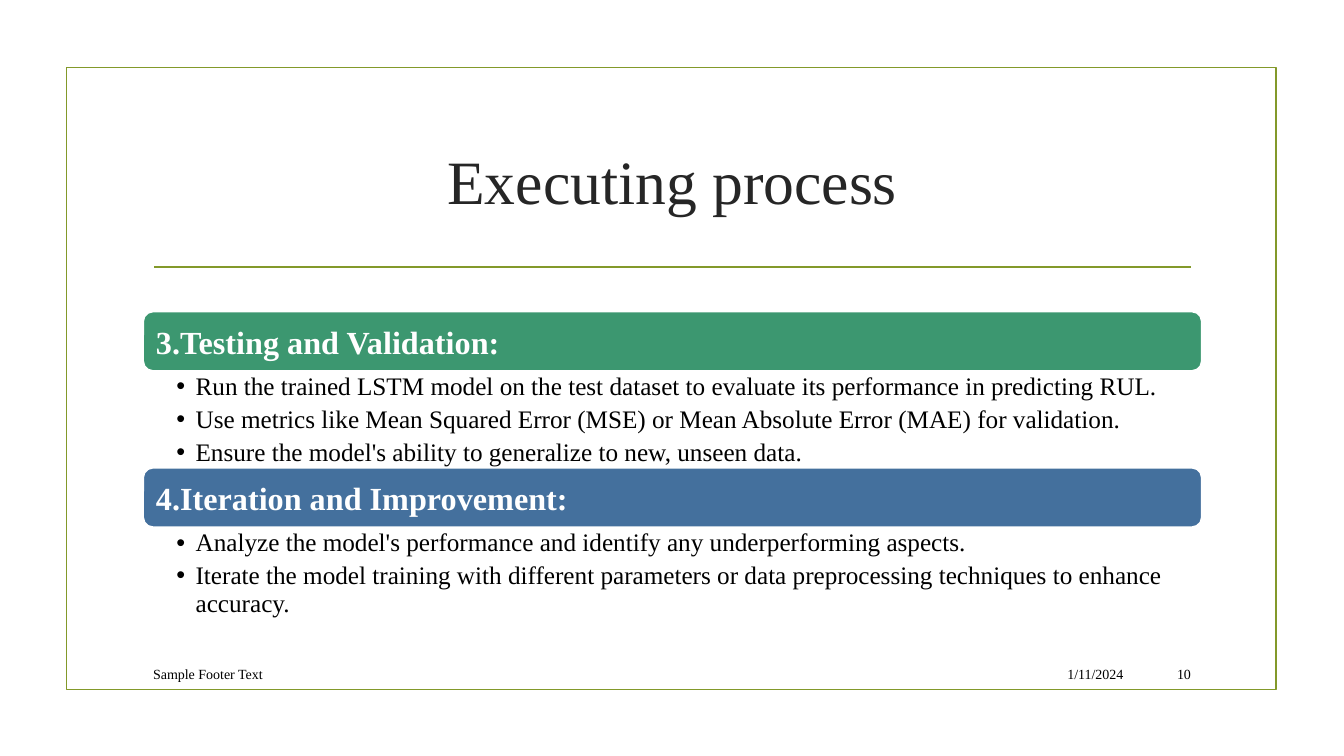
import pptx
import pptx.util
import pptx.dml.color
import pptx.enum.shapes
import pptx.enum.text
import pptx.oxml.ns
import lxml.etree

Inches = pptx.util.Inches
Pt = pptx.util.Pt
RGBColor = pptx.dml.color.RGBColor
ALIGN = pptx.enum.text.PP_ALIGN
ANCHOR = pptx.enum.text.MSO_ANCHOR
SHAPE = pptx.enum.shapes.MSO_SHAPE

FONT = "Times New Roman"
OLIVE = RGBColor(0x83, 0x99, 0x2A)
GREEN = RGBColor(0x3C, 0x97, 0x70)
BLUE = RGBColor(0x44, 0x70, 0x9D)
WHITE = RGBColor(0xFF, 0xFF, 0xFF)
BLACK = RGBColor(0, 0, 0)
CHARCOAL = RGBColor(0x26, 0x26, 0x26)

LEFT, WIDTH = 1.42, 10.5
HEADING_HEIGHT = 0.59
SECTIONS = [
    (3.09, 0.96, GREEN, "3.Testing and Validation:", [
        "Run the trained LSTM model on the test dataset to evaluate its performance in predicting RUL.",
        "Use metrics like Mean Squared Error (MSE) or Mean Absolute Error (MAE) for validation.",
        "Ensure the model's ability to generalize to new, unseen data.",
    ]),
    (4.64, 0.89, BLUE, "4.Iteration and Improvement:", [
        "Analyze the model's performance and identify any underperforming aspects.",
        "Iterate the model training with different parameters or data preprocessing techniques to enhance accuracy.",
    ]),
]
FOOTERS = [
    (1.42, 7.99, "Sample Footer Text", ALIGN.LEFT),
    (9.49, 1.75, "1/11/2024", ALIGN.RIGHT),
    (11.32, 0.59, "10", ALIGN.RIGHT),
]


def place(shape, left, top, width, height):
    shape.left, shape.top = Inches(left), Inches(top)
    shape.width, shape.height = Inches(width), Inches(height)


def set_frame(frame, anchor, left=0.1, top=0.05, right=0.1, bottom=0.05):
    frame.word_wrap = True
    frame.auto_size = pptx.enum.text.MSO_AUTO_SIZE.NONE
    frame.vertical_anchor = anchor
    frame.margin_left, frame.margin_top = Inches(left), Inches(top)
    frame.margin_right, frame.margin_bottom = Inches(right), Inches(bottom)


def write(para, text, size, color, align=ALIGN.LEFT, bold=False):
    para.alignment = align
    span = para.add_run()
    span.text = text
    span.font.name = FONT
    span.font.size = Pt(size)
    span.font.bold = bold
    span.font.color.rgb = color


def add_bullet(para):
    properties = para._p.get_or_add_pPr()
    properties.set("marL", str(Inches(0.19)))
    properties.set("indent", str(-Inches(0.19)))
    bullet = lxml.etree.SubElement(properties, pptx.oxml.ns.qn("a:buChar"))
    bullet.set("char", "•")


def add_border(page):
    border = page.shapes.add_shape(
        SHAPE.RECTANGLE, Inches(0.66), Inches(0.67), Inches(12), Inches(6.17))
    border.shadow.inherit = False
    border.fill.background()
    border.line.color.rgb = OLIVE
    border.line.width = Pt(1.25)


def add_rule(page):
    rule = page.shapes.add_connector(
        pptx.enum.shapes.MSO_CONNECTOR.STRAIGHT,
        Inches(1.53), Inches(2.65), Inches(11.81), Inches(2.65))
    rule.line.color.rgb = OLIVE
    rule.line.width = Pt(1.25)
    lxml.etree.SubElement(rule._element.spPr, pptx.oxml.ns.qn("a:effectLst"))


def fill_title(title, text):
    place(title, LEFT, 1.07, WIDTH, 1.43)
    set_frame(title.text_frame, ANCHOR.MIDDLE)
    write(title.text_frame.paragraphs[0], text, 44, CHARCOAL, ALIGN.CENTER)


def add_heading(page, top, color, text):
    bar = page.shapes.add_shape(
        SHAPE.ROUNDED_RECTANGLE, Inches(LEFT), Inches(top),
        Inches(WIDTH), Inches(HEADING_HEIGHT))
    bar.shadow.inherit = False
    bar.fill.solid()
    bar.fill.fore_color.rgb = color
    bar.line.color.rgb = WHITE
    bar.line.width = Pt(1.25)
    set_frame(bar.text_frame, ANCHOR.MIDDLE, left=0.1)
    write(bar.text_frame.paragraphs[0], text, 23, WHITE, bold=True)


def fill_list(body, top, height, items):
    place(body, LEFT, top, WIDTH, height)
    frame = body.text_frame
    set_frame(frame, ANCHOR.TOP, 0.33, 0.03, 0.18, 0.03)
    for index, item in enumerate(items):
        para = frame.add_paragraph() if index else frame.paragraphs[0]
        para.line_spacing = 0.9
        para.space_before = Pt(0)
        para.space_after = Pt(4)
        add_bullet(para)
        write(para, item, 18, BLACK)


def add_footer(page, left, width, text, align):
    box = page.shapes.add_textbox(
        Inches(left), Inches(6.53), Inches(width), Inches(0.31))
    set_frame(box.text_frame, ANCHOR.MIDDLE)
    write(box.text_frame.paragraphs[0], text, 10, BLACK, align)


def main():
    deck = pptx.Presentation()
    deck.slide_width, deck.slide_height = Inches(13.33), Inches(7.5)
    page = deck.slides.add_slide(deck.slide_layouts.get_by_name("Two Content"))
    title, *bodies = page.placeholders
    add_border(page)
    add_rule(page)
    fill_title(title, "Executing process")
    for body, (top, height, color, heading, items) in zip(bodies, SECTIONS):
        add_heading(page, top, color, heading)
        fill_list(body, top + HEADING_HEIGHT, height, items)
    for footer in FOOTERS:
        add_footer(page, *footer)
    deck.save("out.pptx")


if __name__ == "__main__":
    main()
